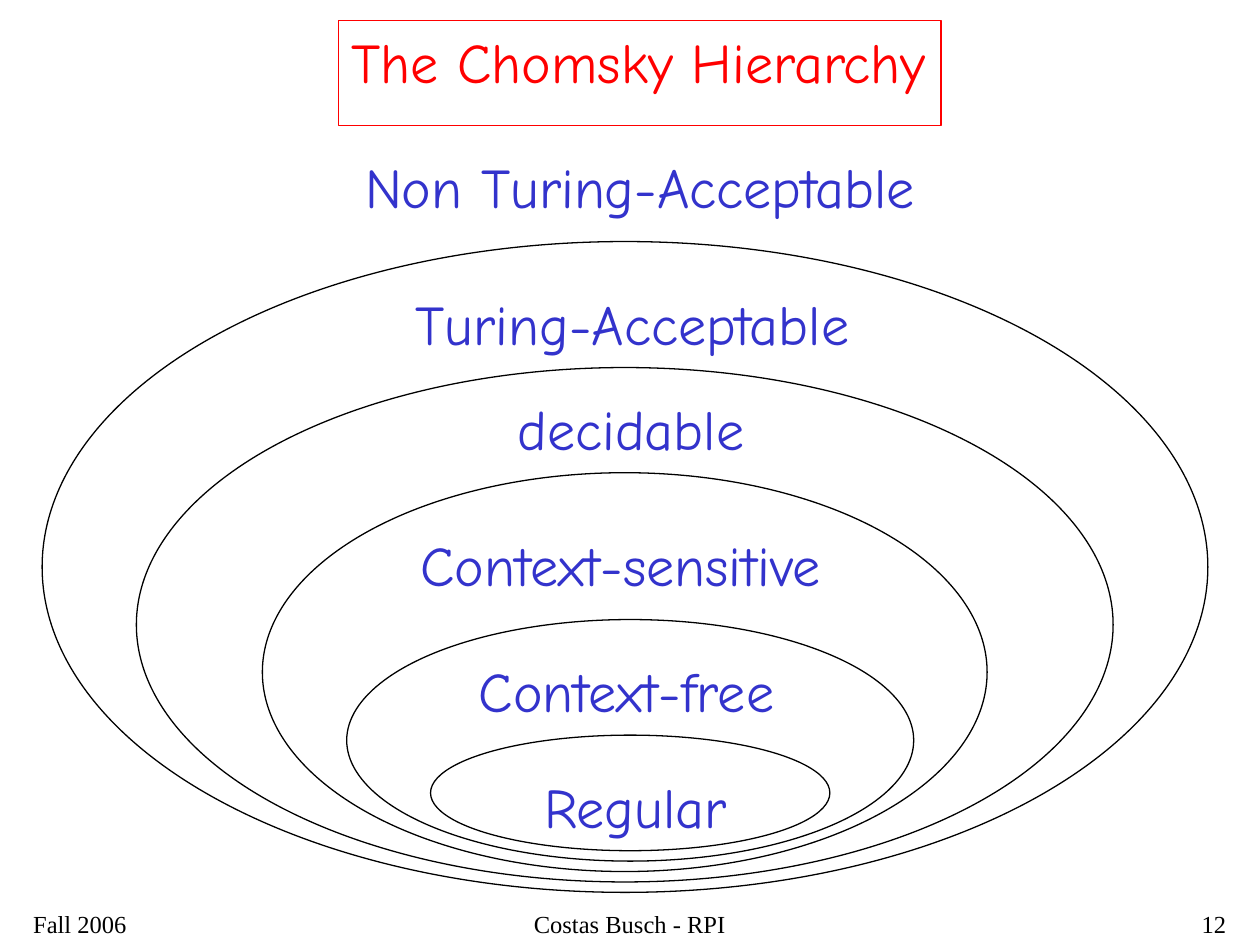
from collections import namedtuple

from pptx import Presentation
from pptx import util as u
from pptx.dml.color import RGBColor
from pptx.enum import shapes, text

BLACK = RGBColor(0x00, 0x00, 0x00)
RED = RGBColor(0xFF, 0x00, 0x00)
BLUE = RGBColor(0x33, 0x33, 0xCC)

Box = namedtuple("Box", "left top width height")

HEADING_FONT = {"name": "Comic Neue", "size": u.Pt(32), "bold": False}
FOOTER_FONT = {"name": "Times New Roman", "size": u.Pt(14), "bold": False}
FITTED_FRAME = {
    "word_wrap": False,
    "auto_size": text.MSO_AUTO_SIZE.SHAPE_TO_FIT_TEXT,
    "vertical_anchor": text.MSO_ANCHOR.TOP,
}
FOOTER_FRAME = {**FITTED_FRAME, "word_wrap": True, "auto_size": text.MSO_AUTO_SIZE.NONE}
HEADING_PARAGRAPH = {"alignment": text.PP_ALIGN.LEFT, "space_before": u.Pt(8)}

LABEL_HEIGHT = 1.63
BOTTOM_STEP = 0.21
LABELS = [
    ("Non Turing-Acceptable", 6.26, 0, 11.63),
    ("Turing-Acceptable", 7.28, 2.76, 9.3),
    ("decidable", 9.34, 4.87, 5.08),
    ("Context-sensitive", 7.38, 7.62, 8.64),
    ("Context-free", 8.55, 10.16, 6.53),
    ("Regular", 9.87, 12.49, 4.19),
]
ELLIPSES = [
    (0, 1.91, 23.5),
    (1.9, 4.45, 19.69),
    (4.44, 6.57, 14.61),
    (6.14, 9.53, 11.43),
    (7.83, 11.86, 8.05),
]


def apply_format(target, values):
    """Set each attribute named in values on the target."""
    for name, value in values.items():
        setattr(target, name, value)


def in_cm(box):
    """Return the four lengths of a box as Cm values."""
    return [u.Cm(length) for length in box]


def write_text(shape, wording, frame_format, paragraph_format, font_format, color):
    """Put one formatted paragraph into a shape."""
    frame = shape.text_frame
    frame.text = wording
    apply_format(frame, frame_format)
    paragraph = frame.paragraphs[0]
    apply_format(paragraph, paragraph_format)
    font = paragraph.runs[0].font
    apply_format(font, font_format)
    font.color.rgb = color


def outline(shape, color):
    """Give a shape a thin line in the given colour and no fill."""
    shape.fill.background()
    shape.line.color.rgb = color
    shape.line.width = u.Pt(0.75)


def place_title(slide, box):
    """Move the title placeholder into the box and frame it in red."""
    title = slide.shapes.title
    apply_format(title, dict(zip(Box._fields, in_cm(box))))
    outline(title, RED)
    write_text(title, "The Chomsky Hierarchy", FITTED_FRAME, HEADING_PARAGRAPH,
               HEADING_FONT, RED)


def place_hierarchy(slide, box):
    """Draw the nested language classes and their labels in the box."""
    for level, (left, top, width) in enumerate(ELLIPSES):
        height = box.height - BOTTOM_STEP * level - top
        ellipse = slide.shapes.add_shape(
            shapes.MSO_SHAPE.OVAL,
            *in_cm((box.left + left, box.top + top, width, height)))
        ellipse.shadow.inherit = False
        outline(ellipse, BLACK)
    for wording, left, top, width in LABELS:
        label = slide.shapes.add_textbox(
            *in_cm((box.left + left, box.top + top, width, LABEL_HEIGHT)))
        write_text(label, wording, FITTED_FRAME, HEADING_PARAGRAPH, HEADING_FONT, BLUE)


def place_footer(slide, box):
    """Place date, author and slide number along the box."""
    side, middle = 5.28, 8.05
    parts = [
        ("Fall 2006", 0, side, text.PP_ALIGN.LEFT),
        ("Costas Busch - RPI", (box.width - middle) / 2, middle, text.PP_ALIGN.CENTER),
        ("12", box.width - side, side, text.PP_ALIGN.RIGHT),
    ]
    for wording, left, width, alignment in parts:
        part = slide.shapes.add_textbox(
            *in_cm((box.left + left, box.top, width, box.height)))
        write_text(part, wording, FOOTER_FRAME, {"alignment": alignment},
                   FOOTER_FONT, BLACK)


def main():
    """Build the slide and save it."""
    presentation = Presentation()
    presentation.slide_width = u.Cm(25.4)
    presentation.slide_height = u.Cm(19.05)
    slide = presentation.slides.add_slide(presentation.slide_layouts[5])
    place_footer(slide, Box(0.42, 18.2, 24.55, 0.85))
    place_hierarchy(slide, Box(0.85, 2.96, 23.5, 15.03))
    place_title(slide, Box(6.83, 0.42, 12.14, LABEL_HEIGHT))
    presentation.save("out.pptx")


if __name__ == "__main__":
    main()
